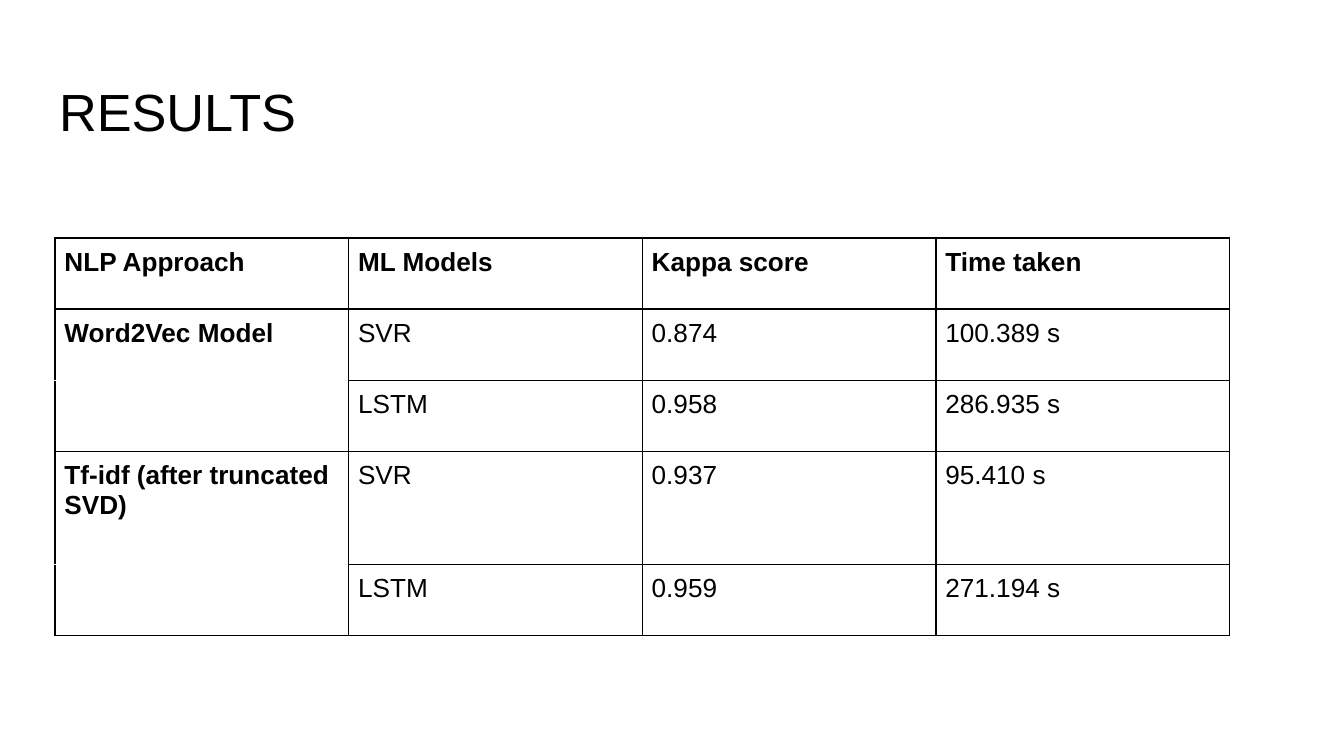
from dataclasses import dataclass

from lxml.etree import SubElement as Sub
from pptx import Presentation
from pptx.dml.color import RGBColor as Rgb
from pptx.enum.text import MSO_ANCHOR as Anchor, MSO_AUTO_SIZE as Fit, PP_ALIGN as Align
from pptx.oxml.ns import qn
from pptx.util import Inches, Pt


@dataclass(frozen=True)
class Theme:
    """Colours, font and type sizes of the slide."""
    ink: str = "000000"
    paper: str = "FFFFFF"
    font: str = "Arial"
    head: int = 28
    body: int = 14
    line: int = 1


THEME = Theme()
ROWS = [
    ("NLP Approach", "ML Models", "Kappa score", "Time taken"),
    ("Word2Vec Model", "SVR", "0.874", "100.389 s"),
    ("", "LSTM", "0.958", "286.935 s"),
    ("Tf-idf (after truncated SVD)", "SVR", "0.937", "95.410 s"),
    ("", "LSTM", "0.959", "271.194 s"),
]
HEIGHTS = (0.53, 0.53, 0.53, 0.84, 0.53)
WIDTH = 8.74


def write(frame, text, size, bold=False):
    """Add one left-aligned run to the frame."""
    para = frame.paragraphs[0]
    para.alignment = Align.LEFT
    run = para.add_run()
    run.text = text
    run.font.name = THEME.font
    run.font.size = Pt(size)
    run.font.bold = bold
    run.font.color.rgb = Rgb.from_string(THEME.ink)


def add_title(slide, text):
    """Place and fill the title placeholder."""
    title = slide.shapes.title
    title.left, title.top = Inches(0.34), Inches(0.49)
    title.width, title.height = Inches(9.32), Inches(0.63)
    frame = title.text_frame
    frame.auto_size = Fit.NONE
    frame.word_wrap = True
    frame.vertical_anchor = Anchor.TOP
    frame.margin_left = frame.margin_right = Inches(0.1)
    frame.margin_top = frame.margin_bottom = Inches(0.1)
    write(frame, text, THEME.head)


def edge(cell, side, color):
    """Draw one border of a cell."""
    line = Sub(cell._tc.get_or_add_tcPr(), qn(f"a:ln{side}"), w=str(Pt(THEME.line)))
    fill = Sub(line, qn("a:solidFill"))
    Sub(fill, qn("a:srgbClr"), val=color)


def fill_cell(cell, text, bold, pale):
    """Set the borders, margins and text of a cell."""
    for side in "LRTB":
        edge(cell, side, THEME.paper if side in pale else THEME.ink)
    cell.fill.background()
    cell.margin_left = cell.margin_right = Inches(0.07)
    cell.margin_top = cell.margin_bottom = Inches(0.07)
    if text:
        write(cell.text_frame, text, THEME.body, bold)


def add_grid(slide):
    """Add the results table, hiding the line inside each approach."""
    count = len(ROWS[0])
    shape = slide.shapes.add_table(
        len(ROWS), count, Inches(0.41), Inches(1.77),
        Inches(WIDTH), Inches(sum(HEIGHTS)))
    grid = shape.table
    grid.first_row = grid.horz_banding = False
    for col in grid.columns:
        col.width = Inches(WIDTH / count)
    for r, (texts, high) in enumerate(zip(ROWS, HEIGHTS)):
        grid.rows[r].height = Inches(high)
        for c, text in enumerate(texts):
            pale = ""
            if c == 0 and r > 0:
                pale = "B" if text else "T"
            fill_cell(grid.cell(r, c), text, r == 0 or c == 0, pale)


def main():
    """Build and save the results slide."""
    deck = Presentation()
    deck.slide_width = Inches(10)
    deck.slide_height = Inches(10 * 9 / 16)
    slide = deck.slides.add_slide(deck.slide_layouts[5])
    slide.background.fill.solid()
    slide.background.fill.fore_color.rgb = Rgb.from_string(THEME.paper)
    add_title(slide, "RESULTS")
    add_grid(slide)
    deck.save("out.pptx")


if __name__ == "__main__":
    main()
